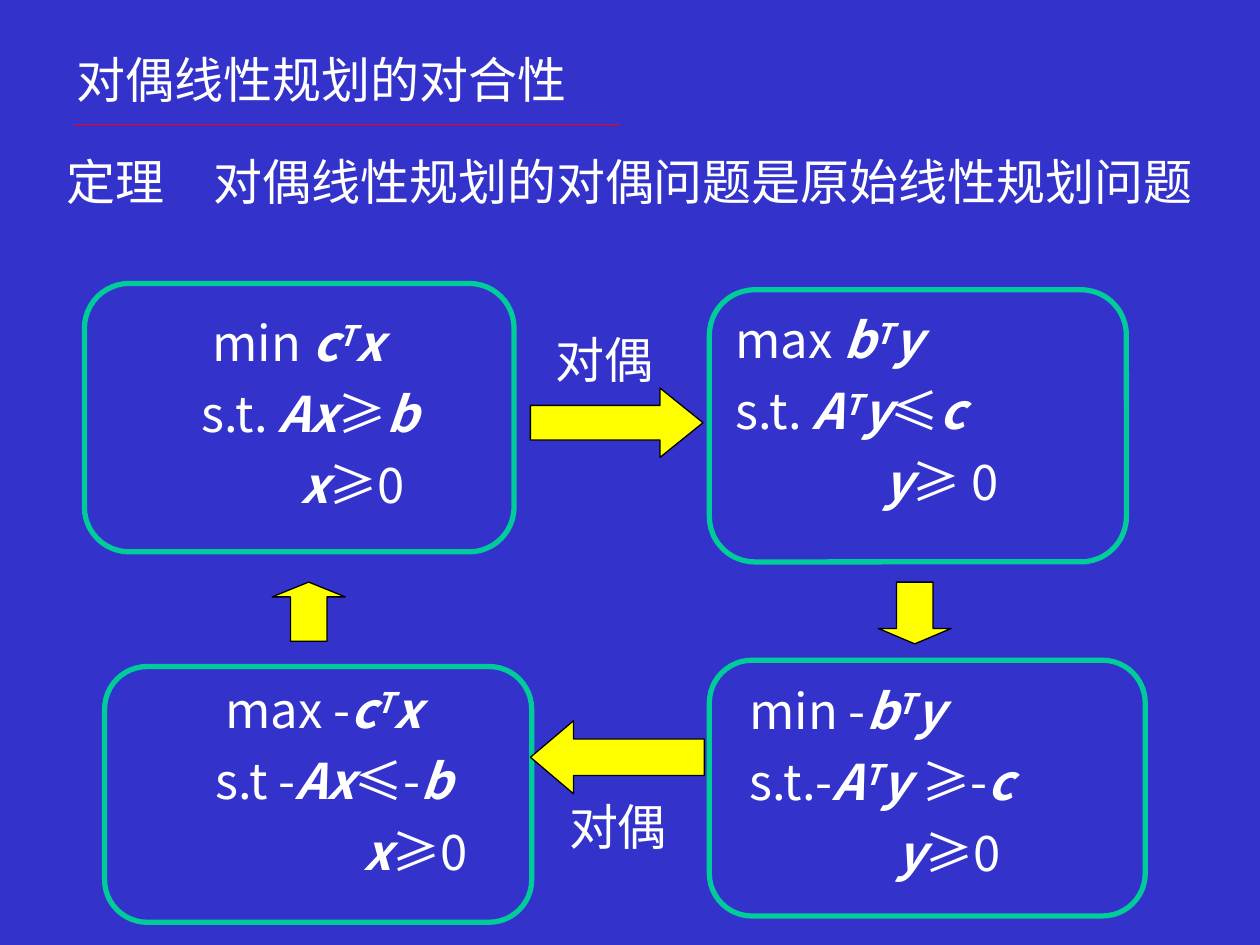
from dataclasses import dataclass

import pptx
import pptx.dml.color
import pptx.enum.shapes
import pptx.enum.text
import pptx.oxml.ns
import pptx.oxml.xmlchemy
import pptx.util
from lxml import etree

Inches = pptx.util.Inches
RGBColor = pptx.dml.color.RGBColor
Shape = pptx.enum.shapes.MSO_SHAPE
Align = pptx.enum.text.PP_ALIGN
qn = pptx.oxml.ns.qn

BLUE = RGBColor(0x33, 0x33, 0xCC)
GREEN = RGBColor(0x00, 0xCC, 0x99)
YELLOW = RGBColor(0xFF, 0xFF, 0x00)
RED = RGBColor(0xFF, 0x00, 0x00)
BLACK = RGBColor(0x00, 0x00, 0x00)
WHITE = RGBColor(0xFF, 0xFF, 0xFF)
FONT = "Noto Sans CJK SC"

Rect = tuple[float, float, float, float]


@dataclass
class Bit:
    """A piece of a formula: plain, vector (bold italic) or raised."""
    text: str
    bold: bool = False
    high: bool = False


@dataclass
class Row:
    indent: float
    bits: list[Bit]


@dataclass
class Model:
    frame: Rect
    text: Rect
    rows: list[Row]


@dataclass
class Arrow:
    kind: Shape
    rect: Rect
    head: float


def vec(text: str) -> Bit:
    return Bit(text, bold=True)


TOP = Bit("T", bold=True, high=True)

MODELS = [
    Model((0.67, 2.25, 3.41, 2.13), (0.91, 2.43, 2.93, 1.93), [
        Row(0.68, [Bit("min "), vec("c"), TOP, vec("x")]),
        Row(0.59, [Bit("s.t. "), vec("Ax"), Bit("≥"), vec("b")]),
        Row(1.38, [vec("x"), Bit("≥0")])]),
    Model((5.63, 2.3, 3.31, 2.16), (5.74, 2.41, 3.08, 1.7), [
        Row(0, [Bit("max "), vec("b"), TOP, vec("y")]),
        Row(0, [Bit("s.t. "), vec("A"), TOP, vec("y"), Bit("≤"), vec("c")]),
        Row(1.17, [vec("y"), Bit("≥ 0")])]),
    Model((5.63, 5.24, 3.46, 2.03), (5.85, 5.35, 3.23, 1.7), [
        Row(0, [Bit("min -"), vec("b"), TOP, vec("y")]),
        Row(0, [Bit("s.t.-"), vec("A"), TOP, vec("y "), Bit("≥-"), vec("c")]),
        Row(1.17, [vec("y"), Bit("≥0")])]),
    Model((0.83, 5.29, 3.39, 2.03), (0.91, 5.34, 3.3, 2.1), [
        Row(0.78, [Bit("max -"), vec("c"), TOP, vec("x")]),
        Row(0.7, [Bit("s.t -"), vec("Ax"), Bit("≤-"), vec("b")]),
        Row(1.88, [vec("x"), Bit("≥0")])]),
]

ARROWS = [
    Arrow(Shape.RIGHT_ARROW, (4.21, 3.08, 1.37, 0.55), 0.62),
    Arrow(Shape.DOWN_ARROW, (6.97, 4.62, 0.58, 0.49), 0.25),
    Arrow(Shape.LEFT_ARROW, (4.21, 5.72, 1.38, 0.58), 0.59),
    Arrow(Shape.UP_ARROW, (2.16, 4.62, 0.58, 0.47), 0.25),
]

LABELS = [(4.13, 2.57, 1.33, 0.57), (4.24, 6.27, 1.33, 0.57)]


def place(rect: Rect) -> list[int]:
    return [Inches(n) for n in rect]


def write(para, bit: Bit) -> None:
    run = para.add_run()
    run.text = bit.text
    font = run.font
    font.size = pptx.util.Pt(28)
    font.name = FONT
    font.color.rgb = WHITE
    font.bold = font.italic = bit.bold
    props = run._r.get_or_add_rPr()
    etree.SubElement(props, qn("a:ea")).set("typeface", FONT)
    if bit.high:
        props.set("baseline", "30000")


def fill_holder(holder, rect: Rect, text: str, anchor) -> None:
    holder.left, holder.top, holder.width, holder.height = place(rect)
    frame = holder.text_frame
    frame.auto_size = pptx.enum.text.MSO_AUTO_SIZE.NONE
    frame.vertical_anchor = anchor
    para = frame.paragraphs[0]
    etree.SubElement(para._p.get_or_add_pPr(), qn("a:buNone"))
    para.alignment = Align.LEFT
    para.space_before = pptx.util.Pt(0)
    write(para, Bit(text))


def add_text(slide, rect: Rect, rows: list[Row], align=Align.LEFT) -> None:
    frame = slide.shapes.add_textbox(*place(rect)).text_frame
    frame.word_wrap = True
    for i, row in enumerate(rows):
        para = frame.add_paragraph() if i else frame.paragraphs[0]
        para.alignment = align
        para.space_before = pptx.util.Pt(7 if i else 0)
        para._p.get_or_add_pPr().set("marL", str(Inches(row.indent)))
        for bit in row.bits:
            write(para, bit)


def add_model(slide, model: Model) -> None:
    box = slide.shapes.add_shape(Shape.ROUNDED_RECTANGLE, *place(model.frame))
    box.shadow.inherit = False
    box.fill.background()
    box.line.color.rgb = GREEN
    box.line.width = pptx.util.Pt(3)
    add_text(slide, model.text, model.rows)


def add_arrow(slide, arrow: Arrow) -> None:
    shape = slide.shapes.add_shape(arrow.kind, *place(arrow.rect))
    shape.shadow.inherit = False
    shape.adjustments[0] = 0.5
    shape.adjustments[1] = arrow.head
    shape.fill.solid()
    shape.fill.fore_color.rgb = YELLOW
    shape.line.color.rgb = BLACK
    shape.line.width = pptx.util.Pt(0.75)


def add_rule(slide) -> None:
    ends = place((0.59, 0.99, 4.92, 0.99))
    rule = slide.shapes.add_connector(
        pptx.enum.shapes.MSO_CONNECTOR.STRAIGHT, *ends)
    rule.line.color.rgb = RED
    rule.line.width = pptx.util.Pt(0.75)
    etree.SubElement(rule._element.spPr, qn("a:effectLst"))


def main() -> None:
    deck = pptx.Presentation()
    deck.slide_width, deck.slide_height = Inches(10), Inches(7.5)
    slide = deck.slides.add_slide(deck.slide_layouts[1])
    slide.background.fill.solid()
    slide.background.fill.fore_color.rgb = BLUE

    # Title and theorem
    anchor = pptx.enum.text.MSO_ANCHOR
    fill_holder(slide.shapes.title, (0.51, 0, 9, 1.25),
                "对偶线性规划的对合性", anchor.MIDDLE)
    fill_holder(slide.placeholders[1], (0.43, 1.15, 9.29, 0.6),
                "定理　对偶线性规划的对偶问题是原始线性规划问题", anchor.TOP)
    add_rule(slide)

    # Cycle of dual problems
    for model in MODELS:
        add_model(slide, model)
    for arrow in ARROWS:
        add_arrow(slide, arrow)
    for rect in LABELS:
        add_text(slide, rect, [Row(0, [Bit("对偶")])], Align.CENTER)

    deck.save("out.pptx")


if __name__ == "__main__":
    main()
